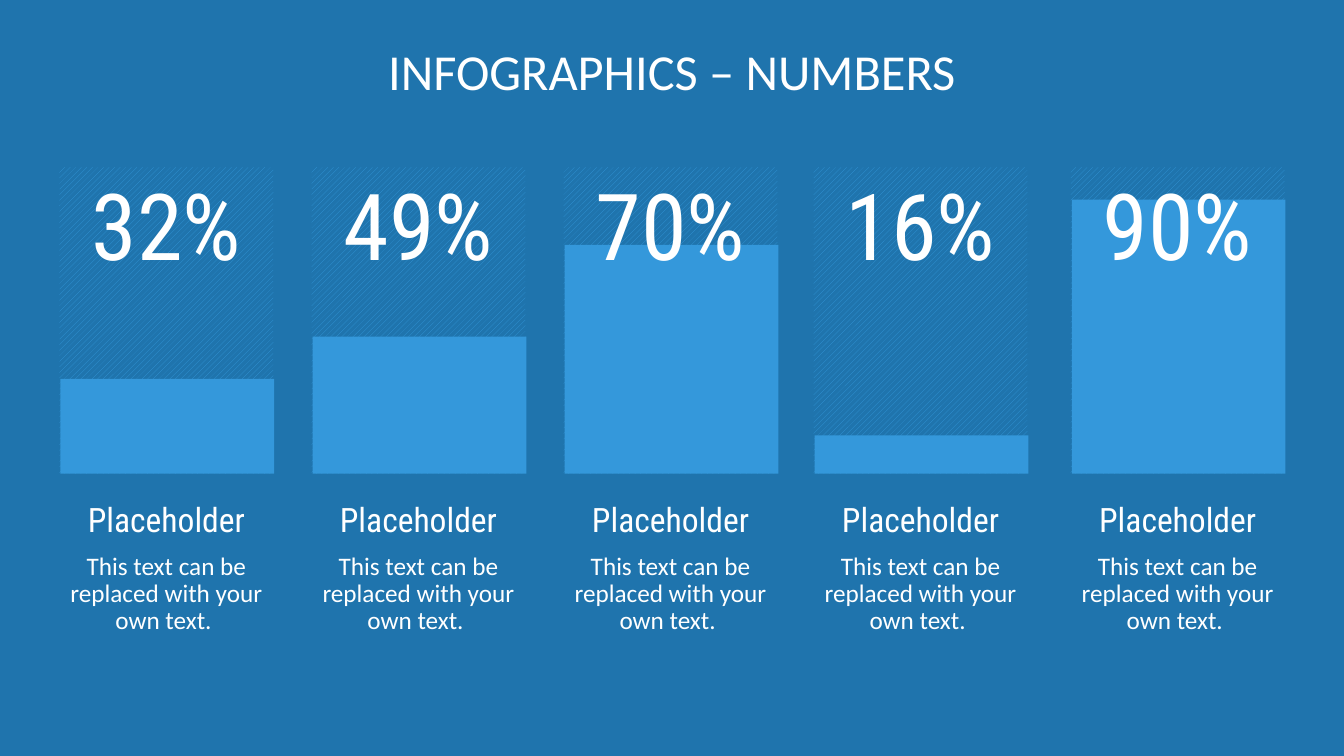
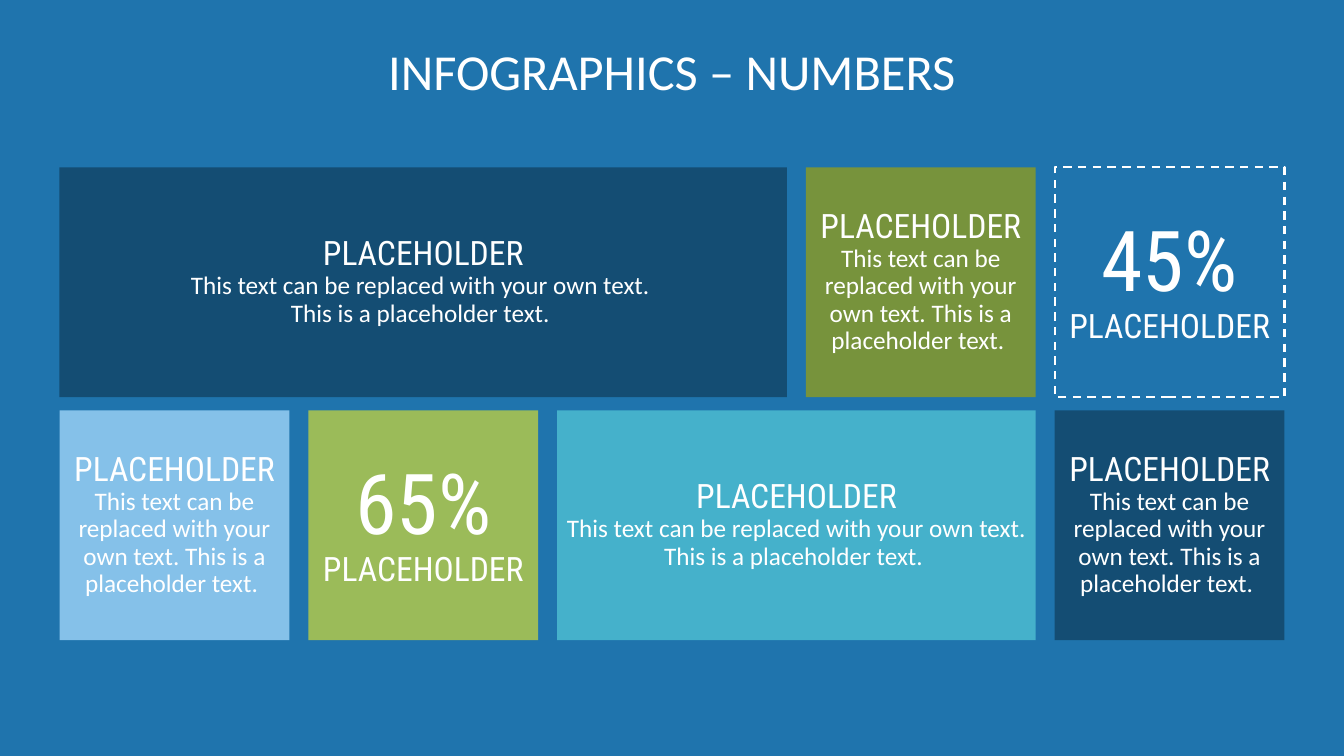
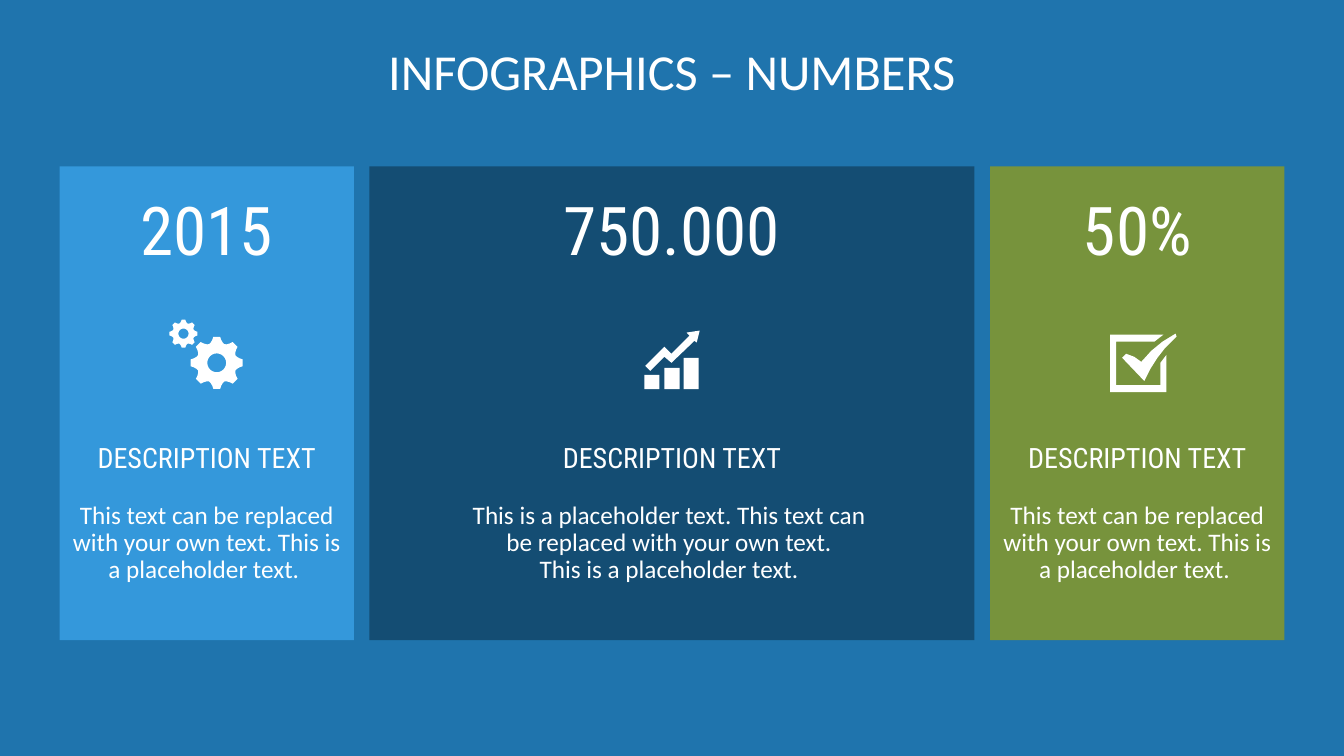
from math import cos, radians, sin

from pptx import Presentation
from pptx.dml.color import RGBColor
from pptx.enum.dml import MSO_LINE, MSO_PATTERN
from pptx.enum.shapes import MSO_SHAPE
from pptx.enum.text import MSO_ANCHOR, PP_ALIGN
from pptx.util import Inches, Pt

RECTANGLE = MSO_SHAPE.RECTANGLE
TOP, MIDDLE = MSO_ANCHOR.TOP, MSO_ANCHOR.MIDDLE
CENTER = PP_ALIGN.CENTER
DASH = MSO_LINE.DASH
STRIPES = MSO_PATTERN.WIDE_UPWARD_DIAGONAL

BACKGROUND, WHITE = "1F74AD", "FFFFFF"
BLUE, NAVY, SKY, TEAL = "3498DB", "144D73", "85C1E9", "45B1CB"
OLIVE, GREEN = "77933C", "9BBB59"
BODY, DISPLAY = "Calibri", "Roboto Condensed"
LEFT, WIDTH = 0.59, 12.15
NO_INSETS = (0, 0, 0, 0)
TITLE = "INFOGRAPHICS – NUMBERS"

SHORT_TEXT = "This text can be replaced with your own text. "
LONG_TEXT = SHORT_TEXT + "This is a placeholder text. "
BROKEN_TEXT = SHORT_TEXT + "\nThis is a placeholder text. "


def color(value):
    return RGBColor.from_string(value)


class Deck:
    def __init__(self):
        self.presentation = Presentation()
        self.presentation.slide_width = Inches(13.33)
        self.presentation.slide_height = Inches(7.5)
        self.slide = None

    def add_slide(self, title):
        self.slide = self.presentation.slides.add_slide(self.presentation.slide_layouts[6])
        fill = self.slide.background.fill
        fill.solid()
        fill.fore_color.rgb = color(BACKGROUND)
        self.text((LEFT, 0.47, WIDTH, 1.18), [[(title, 36, BODY)]], after=0)

    def fill_text(self, shape, paragraphs, anchor=TOP, insets=NO_INSETS, before=0, after=10, spacing=0.9):
        frame = shape.text_frame
        frame.word_wrap = True
        frame.vertical_anchor = anchor
        frame.margin_left, frame.margin_top, frame.margin_right, frame.margin_bottom = map(Inches, insets)
        for index, runs in enumerate(paragraphs):
            paragraph = frame.add_paragraph() if index else frame.paragraphs[0]
            paragraph.alignment = CENTER
            paragraph.line_spacing = spacing
            paragraph.space_before = Pt(before if index else 0)
            paragraph.space_after = Pt(after)
            for text, size, font in runs:
                for position, line in enumerate(text.split("\n")):
                    if position:
                        paragraph.add_line_break()
                    if line:
                        run = paragraph.add_run()
                        run.text = line
                        run.font.size = Pt(size)
                        run.font.name = font
                        run.font.color.rgb = color(WHITE)

    def text(self, box, paragraphs, **style):
        self.fill_text(self.slide.shapes.add_textbox(*map(Inches, box)), paragraphs, **style)

    def rectangle(self, box, fill=None):
        shape = self.slide.shapes.add_shape(RECTANGLE, *map(Inches, box))
        self.paint(shape, fill)
        return shape

    def striped(self, box):
        fill = self.rectangle(box).fill
        fill.patterned()
        fill.pattern = STRIPES
        fill.fore_color.rgb = color(BLUE)
        fill.back_color.rgb = color(BACKGROUND)

    def outline(self, shape):
        shape.line.color.rgb = color(WHITE)
        shape.line.width = Pt(1.5)
        shape.line.dash_style = DASH

    def polygon(self, *contours):
        builder = None
        for contour in contours:
            points = [(Inches(x), Inches(y)) for x, y in contour]
            if builder is None:
                builder = self.slide.shapes.build_freeform(*points[0], scale=1.0)
            else:
                builder.move_to(*points[0])
            builder.add_line_segments(points[1:], close=True)
        self.paint(builder.convert_to_shape(), WHITE)

    def gear(self, x, y, radius):
        def at(angle, share):
            turn = radians(angle)
            return x + radius * share * cos(turn), y + radius * share * sin(turn)

        profile = ((-11, 0.89), (-7.5, 1), (7.5, 1), (11, 0.89), (17, 0.8), (22.5, 0.77), (28, 0.8))
        teeth = [at(tooth + angle, share) for tooth in range(0, 360, 45) for angle, share in profile]
        hole = [at(angle, 0.36) for angle in range(360, 0, -15)]
        self.polygon(teeth, hole)

    def paint(self, shape, fill):
        shape.shadow.inherit = False
        shape.line.fill.background()
        if fill:
            shape.fill.solid()
            shape.fill.fore_color.rgb = color(fill)
        else:
            shape.fill.background()


def add_bars(deck):
    deck.add_slide(TITLE)
    width, bottom = 2.12, 4.7
    bars = (
        (0.59, "32%", 0.94),
        (3.09, "49%", 1.36),
        (5.59, "70%", 2.27),
        (8.07, "16%", 0.38),
        (10.62, "90%", 2.72),
    )
    for left, number, height in bars:
        deck.striped((left, 1.66, width, 3.04))
        deck.rectangle((left + 0.01, bottom - height, width, height), BLUE)
        deck.text((left, 1.65, width, 1.42), [[(number, 66, DISPLAY)]],
                  anchor=MIDDLE, insets=(0.08, 0.08, 0.08, 0.16), spacing=0.8)
        deck.text((left, 4.99, width, 1.37),
                  [[("Placeholder", 24, DISPLAY)], [(SHORT_TEXT, 18, BODY)]])


def add_tiles(deck):
    deck.add_slide(TITLE)
    side = 2.28
    step = (WIDTH - side) / 4
    heading = ("PLACEHOLDER\n", 24, DISPLAY)
    label = ("PLACEHOLDER", 24, DISPLAY)
    broken = [heading, (BROKEN_TEXT, 18, BODY)]
    flowing = [heading, (LONG_TEXT, 18, BODY)]
    tiles = (
        (0, 0, 3, NAVY, broken),
        (1, 0, 1, SKY, flowing),
        (1, 1, 1, GREEN, [("65%\n", 60, DISPLAY), label]),
        (1, 2, 2, TEAL, flowing),
        (0, 3, 1, OLIVE, flowing),
        (0, 4, 1, None, [("45%\n", 60, DISPLAY), label]),
        (1, 4, 1, NAVY, flowing),
    )
    for row, column, span, fill, runs in tiles:
        box = (LEFT + column * step, 1.66 + row * 2.41, side + (span - 1) * step, side)
        tile = deck.rectangle(box, fill)
        if fill is None:
            deck.outline(tile)
        deck.fill_text(tile, [runs], anchor=MIDDLE, insets=(0.08,) * 4)


def add_panels(deck):
    deck.add_slide(TITLE)
    middle_text = ("This is a placeholder text. This text can \nbe replaced with your own text. "
                   "\nThis is a placeholder text. ")
    panels = (
        (2.92, BLUE, "2015", LONG_TEXT),
        (6, NAVY, "750.000", middle_text),
        (2.92, OLIVE, "50%", LONG_TEXT),
    )
    gap = (WIDTH - sum(panel[0] for panel in panels)) / 2
    left = LEFT
    for width, fill, number, description in panels:
        panel = deck.rectangle((left, 1.65, width, 4.7), fill)
        deck.fill_text(panel, [[("DESCRIPTION TEXT", 20, DISPLAY)], [(description, 18, BODY)]],
                       insets=(0.1, 2.76, 0.1, 0.39), before=10)
        deck.text((left, 1.66, width, 1.31), [[(number, 48, DISPLAY)]], anchor=MIDDLE)
        left += width + gap
    add_gears_icon(deck)
    add_growth_icon(deck)
    add_check_icon(deck)


def add_gears_icon(deck):
    deck.gear(2.15, 3.6, 0.26)
    deck.gear(1.82, 3.31, 0.14)


def add_growth_icon(deck):
    for left, height in ((6.39, 0.14), (6.59, 0.21), (6.78, 0.31)):
        deck.rectangle((left, 3.86 - height, 0.15, height), WHITE)
    deck.polygon([
        (6.59, 3.44), (6.66, 3.51), (6.84, 3.33), (6.81, 3.3), (6.94, 3.28), (6.91, 3.4),
        (6.89, 3.38), (6.66, 3.6), (6.59, 3.54), (6.45, 3.68), (6.4, 3.63),
    ])


def add_check_icon(deck):
    deck.polygon([
        (11.01, 3.89), (11.01, 3.32), (11.54, 3.32), (11.45, 3.39), (11.07, 3.39),
        (11.07, 3.82), (11.51, 3.82), (11.51, 3.6), (11.57, 3.52), (11.57, 3.89),
    ])
    deck.polygon([
        (11.13, 3.55), (11.17, 3.51), (11.25, 3.54), (11.32, 3.59), (11.42, 3.48), (11.53, 3.39),
        (11.66, 3.31), (11.67, 3.34), (11.55, 3.46), (11.48, 3.55), (11.41, 3.66), (11.35, 3.78),
    ])


def main():
    deck = Deck()
    add_bars(deck)
    add_tiles(deck)
    add_panels(deck)
    deck.presentation.save("out.pptx")


if __name__ == "__main__":
    main()
